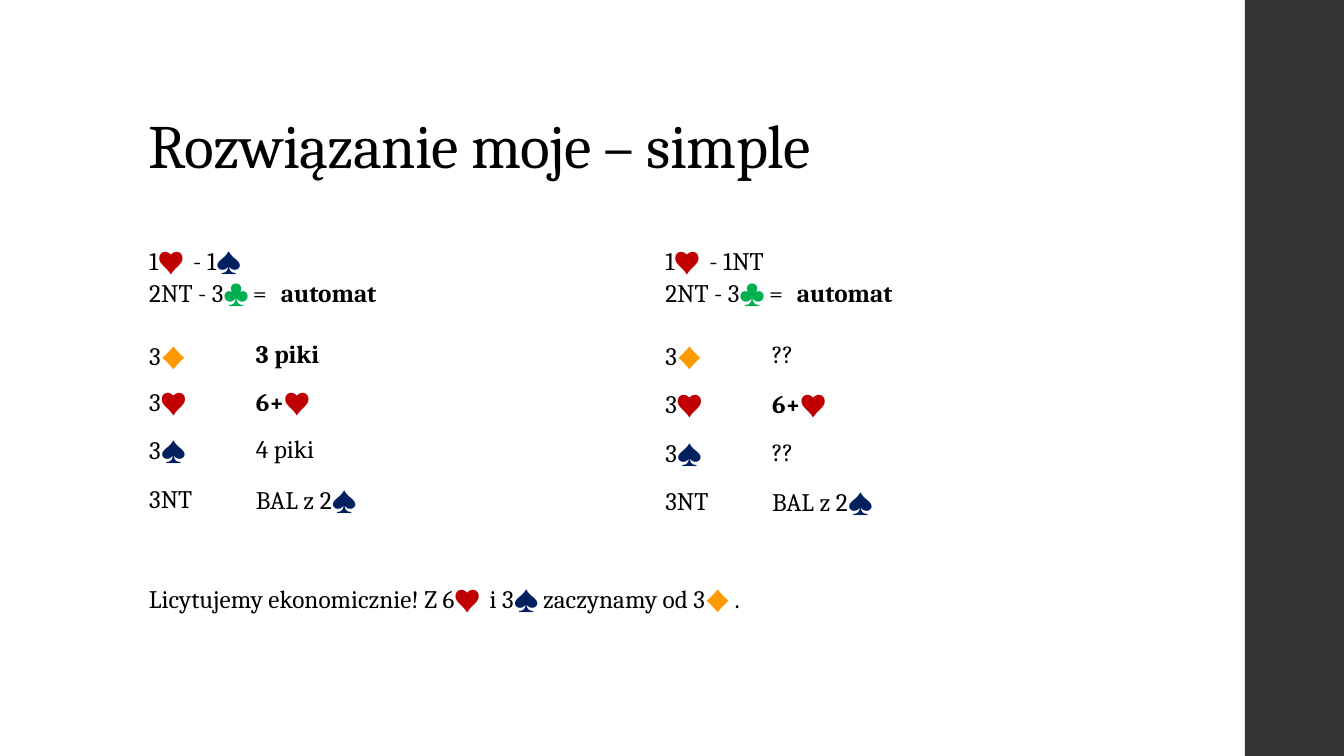
"""Build a slide of bridge bidding answers in two tables."""
from itertools import groupby

from pptx import Presentation
from pptx.dml.color import RGBColor
from pptx.enum import shapes, text
from pptx.util import Pt

TITLE = "Rozwiązanie moje – simple"
AUTOMAT = ["2NT - 3♣", ("= ", "tracked"), ("automat", "bold")]
SIX_HEARTS = [("6+", "bold"), "♥"]
TABLES = [
    {
        "opening": ["1♥ - 1♠"],
        "answers": [
            (["3♦"], [("3 piki", "bold")]),
            (["3♥"], SIX_HEARTS),
            (["3♠"], ["4 piki"]),
            (["3NT"], ["BAL z 2♠"]),
        ],
        "left": 99.36,
        "rows": [65.5, 33.1, 33.1, 36, 34.6],
    },
    {
        "opening": ["1♥ - 1NT"],
        "answers": [
            (["3♦"], ["??"]),
            (["3♥"], SIX_HEARTS),
            (["3♠"], ["??"]),
            (["3NT"], ["BAL z 2♠"]),
        ],
        "left": 468,
        "rows": [65.5, 33.1, 36, 34.6, 34.6],
    },
]
SUMMARY = ["Licytujemy ekonomicznie! Z 6♥ i 3♠zaczynamy od 3♦."]
COLUMNS = [76.3, 292.3]
TABLE_TOP = 172.1

THEME = {
    "font": "Cambria",
    "suit_font": "Lato",
    "ink": "000000",
    "band": "353537",
    "suits": {"♥": "C00000", "♠": "002060", "♣": "00B050", "♦": "FF9900"},
    "title": 44,
    "body": 18,
    "title_tracking": -0.5,
    "tracking": 3,
}


def colour(code):
    return RGBColor.from_string(code)


def set_tracking(span, points):
    span.font._element.set("spc", str(round(points * 100)))


def add_span(para, words, style="plain"):
    span = para.add_run()
    span.text = words
    suit = THEME["suits"].get(words[0])
    span.font.name = THEME["suit_font"] if suit else THEME["font"]
    span.font.color.rgb = colour(suit or THEME["ink"])
    span.font.bold = style == "bold"
    if suit or style == "tracked":
        set_tracking(span, THEME["tracking"])
    return span


def write_line(para, pieces):
    para.font.size = Pt(THEME["body"])
    for piece in pieces:
        words, style = (piece, "plain") if isinstance(piece, str) else piece
        for _, letters in groupby(words, lambda letter: letter in THEME["suits"]):
            add_span(para, "".join(letters), style)


def add_band(page, deck):
    band = page.shapes.add_shape(
        shapes.MSO_SHAPE.RECTANGLE, Pt(889.2), 0, Pt(70.8), deck.slide_height
    )
    band.shadow.inherit = False
    band.fill.solid()
    band.fill.fore_color.rgb = colour(THEME["band"])
    band.line.fill.background()


def add_title(page):
    box = page.shapes.add_textbox(Pt(99.36), Pt(28.8), Pt(763.2), Pt(104.4))
    box.text_frame.word_wrap = True
    box.text_frame.vertical_anchor = text.MSO_ANCHOR.BOTTOM
    para = box.text_frame.paragraphs[0]
    para.line_spacing = 0.9
    para.font.size = Pt(THEME["title"])
    set_tracking(add_span(para, TITLE), THEME["title_tracking"])


def add_bidding(page, opening, answers, left, rows):
    frame = page.shapes.add_table(
        len(rows), len(COLUMNS), Pt(left), Pt(TABLE_TOP), Pt(sum(COLUMNS)), Pt(sum(rows))
    )
    table = frame.table
    table.first_row = table.horz_banding = False
    for column, width in zip(table.columns, COLUMNS):
        column.width = Pt(width)
    for row, height in zip(table.rows, rows):
        row.height = Pt(height)
    for cell in table.iter_cells():
        cell.fill.background()
    header = table.cell(0, 0)
    header.merge(table.cell(0, 1))
    write_line(header.text_frame.paragraphs[0], opening)
    write_line(header.text_frame.add_paragraph(), AUTOMAT)
    for row, answer in enumerate(answers, 1):
        for column, pieces in enumerate(answer):
            cell = table.cell(row, column)
            cell.vertical_anchor = text.MSO_ANCHOR.MIDDLE
            write_line(cell.text_frame.paragraphs[0], pieces)


def add_summary(page):
    box = page.shapes.add_textbox(Pt(99.36), Pt(413.3), Pt(506.9), Pt(28.8))
    box.text_frame.word_wrap = False
    box.text_frame.auto_size = text.MSO_AUTO_SIZE.SHAPE_TO_FIT_TEXT
    write_line(box.text_frame.paragraphs[0], SUMMARY)


def main():
    deck = Presentation()
    deck.slide_width, deck.slide_height = Pt(960), Pt(540)
    page = deck.slides.add_slide(deck.slide_layouts[6])
    add_band(page, deck)
    add_title(page)
    for bidding in TABLES:
        add_bidding(page, **bidding)
    add_summary(page)
    deck.save("out.pptx")


if __name__ == "__main__":
    main()
